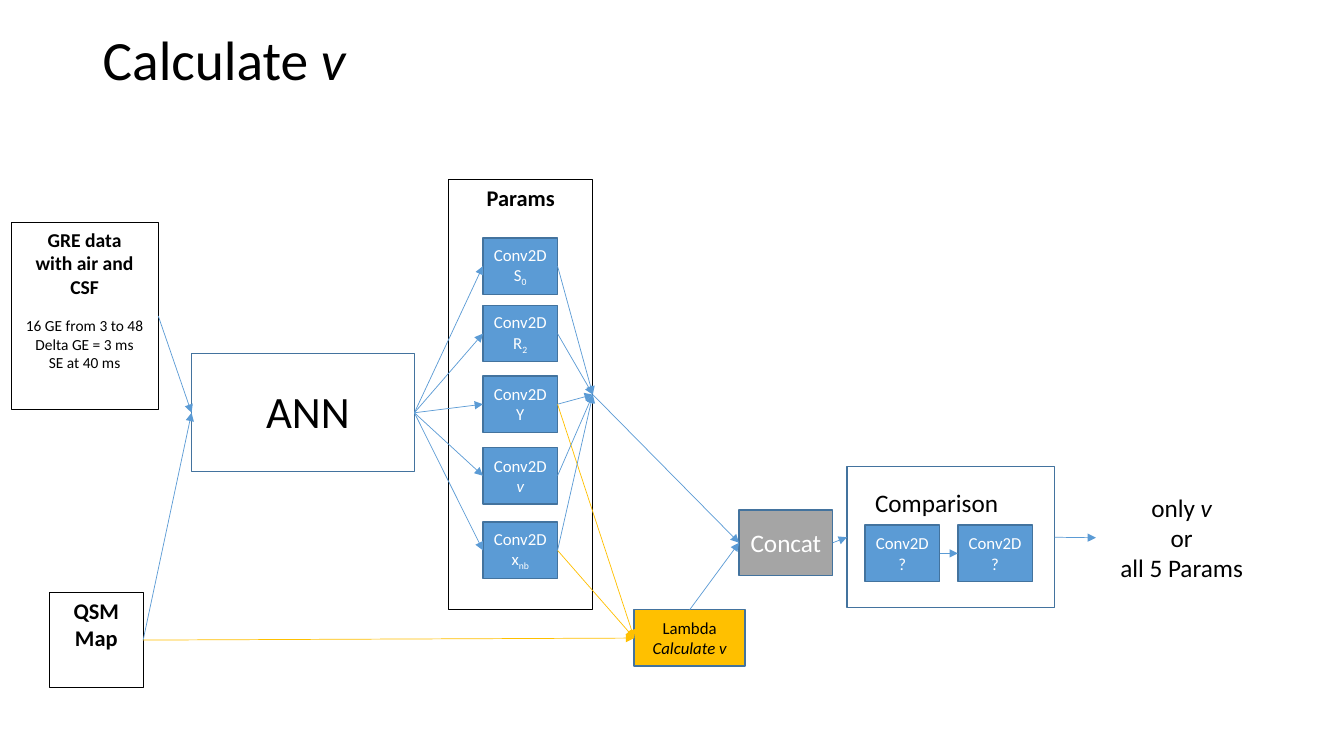
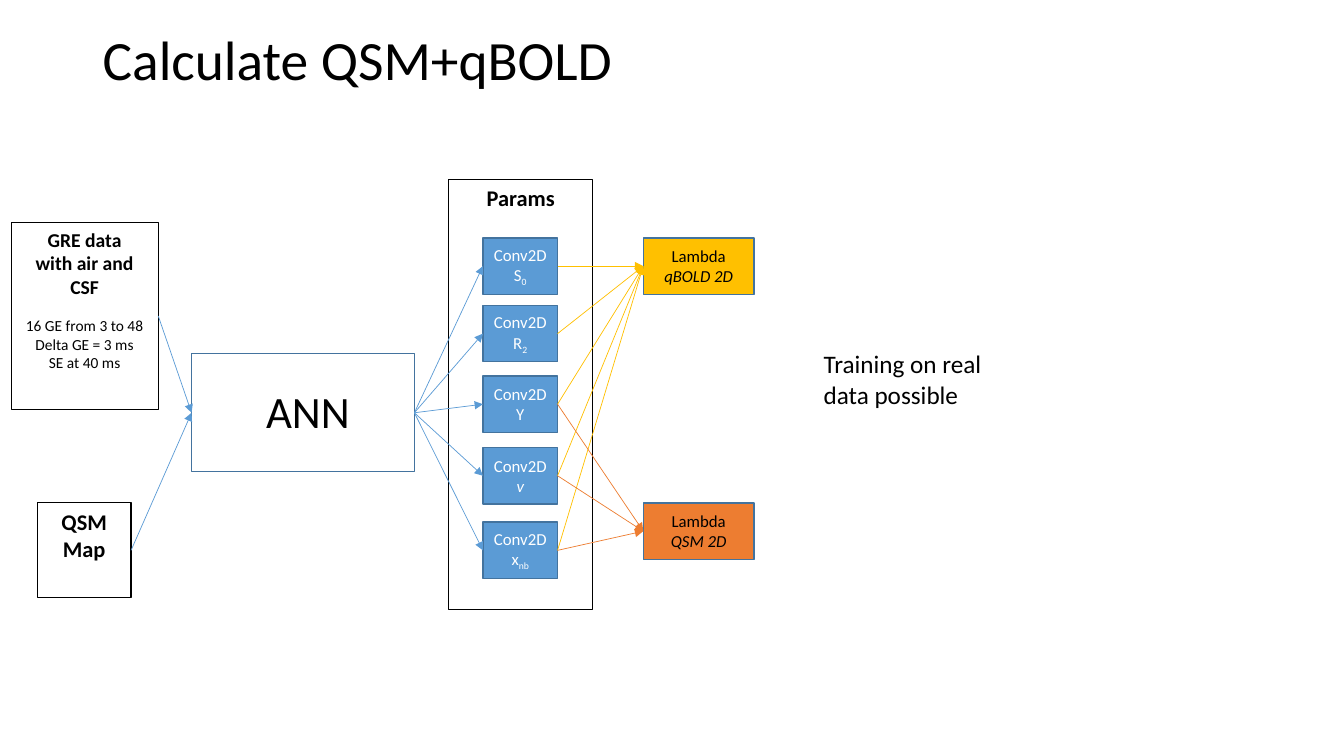
from lxml import etree
from pptx import Presentation
from pptx.dml.color import RGBColor
from pptx.enum.shapes import MSO_CONNECTOR, MSO_SHAPE
from pptx.enum.text import MSO_ANCHOR as ANCHOR, PP_ALIGN as ALIGN
from pptx.oxml.ns import qn
from pptx.util import Inches, Pt

COLORS = {
    "black": "000000", "white": "FFFFFF", "gray": "A5A5A5",
    "blue": "5B9BD5", "edge": "43739E", "gold": "FFC000", "orange": "ED7D31",
}
FONT = "Calibri"
TOP, LEFT, RIGHT = 0, 1, 3  # connection sites of a rectangle
CONV_SIZE = (0.74, 0.56)
LAMBDA_SIZE = (1.1, 0.56)


def add_box(slide, at, lines=(), size=12, color="black", fill=None, edge=None,
            weight=1, anchor=ANCHOR.TOP, align=ALIGN.CENTER):
    """Add a rectangle, or a text box if it has no edge; a line is a list of (text, style) runs."""
    place = [Inches(length) for length in at]
    if edge:
        shape = slide.shapes.add_shape(MSO_SHAPE.RECTANGLE, *place)
        shape.shadow.inherit = False
        shape.line.color.rgb = RGBColor.from_string(COLORS[edge])
        shape.line.width = Pt(weight)
        if fill:
            shape.fill.solid()
            shape.fill.fore_color.rgb = RGBColor.from_string(COLORS[fill])
        else:
            shape.fill.background()
    else:
        shape = slide.shapes.add_textbox(*place)
    frame = shape.text_frame
    frame.word_wrap = True
    frame.vertical_anchor = anchor
    for index, runs in enumerate(lines):
        paragraph = frame.add_paragraph() if index else frame.paragraphs[0]
        paragraph.alignment = align
        for text, style in runs:
            run = paragraph.add_run()
            run.text = text
            run.font.name = FONT
            run.font.size = Pt(size)
            run.font.color.rgb = RGBColor.from_string(COLORS[color])
            run.font.bold = style == "bold"
            run.font.italic = style == "italic"
            if style == "subscript":
                run._r.get_or_add_rPr().set("baseline", "-25000")
    return shape


def add_arrow(slide, source, target, color="blue", start=RIGHT, end=LEFT):
    """Glue a thin arrow to a site of each of two shapes."""
    arrow = slide.shapes.add_connector(MSO_CONNECTOR.STRAIGHT, 0, 0, 0, 0)
    arrow.begin_connect(source, start)
    arrow.end_connect(target, end)
    arrow.line.color.rgb = RGBColor.from_string(COLORS[color])
    arrow.line.width = Pt(0.5)
    etree.SubElement(arrow.line._get_or_add_ln(), qn("a:tailEnd"), type="triangle")
    etree.SubElement(arrow._element.spPr, qn("a:effectLst"))


presentation = Presentation()
presentation.slide_width = Inches(13.33)
presentation.slide_height = Inches(7.5)

input_style = dict(edge="black", weight=0.75)
conv_style = dict(color="white", fill="blue", edge="edge", anchor=ANCHOR.MIDDLE)
lambda_style = dict(edge="edge", anchor=ANCHOR.MIDDLE)

# Each parameter: top of its block and the runs of its symbol
parameters = {
    "S0": (2.36, [("S", ""), ("0", "subscript")]),
    "R2": (3.03, [("R", ""), ("2", "subscript")]),
    "Y": (3.73, [("Y", "")]),
    "v": (4.44, [("v", "italic")]),
    "xnb": (5.18, [("x", ""), ("nb", "subscript")]),
}
# Each slide: runs of the title, left and top of the QSM map
pages = [
    ([("Calculate ", ""), ("v", "italic")], (0.49, 5.88)),
    ([("Calculate QSM+qBOLD", "")], (0.37, 4.99)),
]

# Shared network: inputs, ANN and the parameter blocks
networks = []
for title_runs, map_corner in pages:
    slide = presentation.slides.add_slide(presentation.slide_layouts[6])
    title = add_box(slide, (0.92, 0.4, 11.5, 0.45), [title_runs], 39.6,
                    anchor=ANCHOR.MIDDLE, align=ALIGN.LEFT)
    title.text_frame.paragraphs[0].line_spacing = 0.9

    gre_data = add_box(slide, (0.11, 2.21, 1.46, 1.85), [
        [("GRE data", "bold")], [("with air and CSF", "bold")],
        [("16 GE from 3 to 48", "")], [("Delta GE = 3 ms", "")], [("SE at 40 ms", "")],
    ], 14, **input_style)
    details = gre_data.text_frame.paragraphs[2:]
    details[0].space_before = Pt(13)
    for paragraph in details:
        paragraph.runs[0].font.size = Pt(11)

    qsm_map = add_box(slide, (*map_corner, 0.93, 0.94), [[("QSM Map", "bold")]], 16, **input_style)
    params = add_box(slide, (4.45, 1.78, 1.43, 4.27), [[("Params", "bold")]], 16, **input_style)
    ann = add_box(slide, (1.9, 3.51, 2.21, 1.17), edge="edge")
    add_box(slide, (2.54, 3.76, 1.25, 0.64), [[("ANN", "")]], 32, align=ALIGN.LEFT)
    for source in (gre_data, qsm_map):
        add_arrow(slide, source, ann)

    blocks = {}
    for name, (top, symbol) in parameters.items():
        blocks[name] = add_box(slide, (4.79, top, *CONV_SIZE), [[("Conv2D", "")], symbol], **conv_style)
        add_arrow(slide, ann, blocks[name])
    networks.append((slide, blocks, params, qsm_map))

# Slide 1: v is calculated, joined with the parameters and compared
slide, blocks, params, qsm_map = networks[0]
calculate_v = add_box(slide, (6.29, 6.05, *LAMBDA_SIZE),
                      [[("Lambda", "")], [("Calculate v", "italic")]], fill="gold", **lambda_style)
concat = add_box(slide, (7.33, 5.06, 0.93, 0.65), [[("Concat", "")]], 18,
                 color="white", fill="gray", edge="edge", anchor=ANCHOR.MIDDLE)
comparison = add_box(slide, (8.4, 4.63, 2.06, 1.4), edge="edge")
add_box(slide, (8.58, 4.79, 1.65, 0.4), [[("Comparison", "")]], 18, align=ALIGN.LEFT)
first_conv, second_conv = [
    add_box(slide, (left, 5.21, *CONV_SIZE), [[("Conv2D", "")], [("?", "")]], **conv_style)
    for left in (8.58, 9.5)
]
result = add_box(slide, (10.87, 4.83, 1.7, 1.01), [
    [("only ", ""), ("v", "italic")], [("or", "")], [("all 5 Params", "")],
], 18)

for source in (blocks["Y"], blocks["xnb"], qsm_map):
    add_arrow(slide, source, calculate_v, "gold")
for block in blocks.values():
    add_arrow(slide, block, params, end=RIGHT)
add_arrow(slide, calculate_v, concat, start=TOP)
for source, target in [(params, concat), (concat, comparison),
                       (first_conv, second_conv), (comparison, result)]:
    add_arrow(slide, source, target)

# Slide 2: both signals are calculated from the parameters
slide, blocks, params, qsm_map = networks[1]
for model, top, color, names in [
    ("qBOLD 2D", 2.36, "gold", parameters),
    ("QSM 2D", 4.99, "orange", ("Y", "v", "xnb")),
]:
    signal = add_box(slide, (6.38, top, *LAMBDA_SIZE),
                     [[("Lambda", "")], [(model, "italic")]], fill=color, **lambda_style)
    for name in names:
        add_arrow(slide, blocks[name], signal, color)
add_box(slide, (8.07, 3.41, 1.82, 0.71), [[("Training on real data possible", "")]], 18,
        align=ALIGN.LEFT)

presentation.save("out.pptx")
